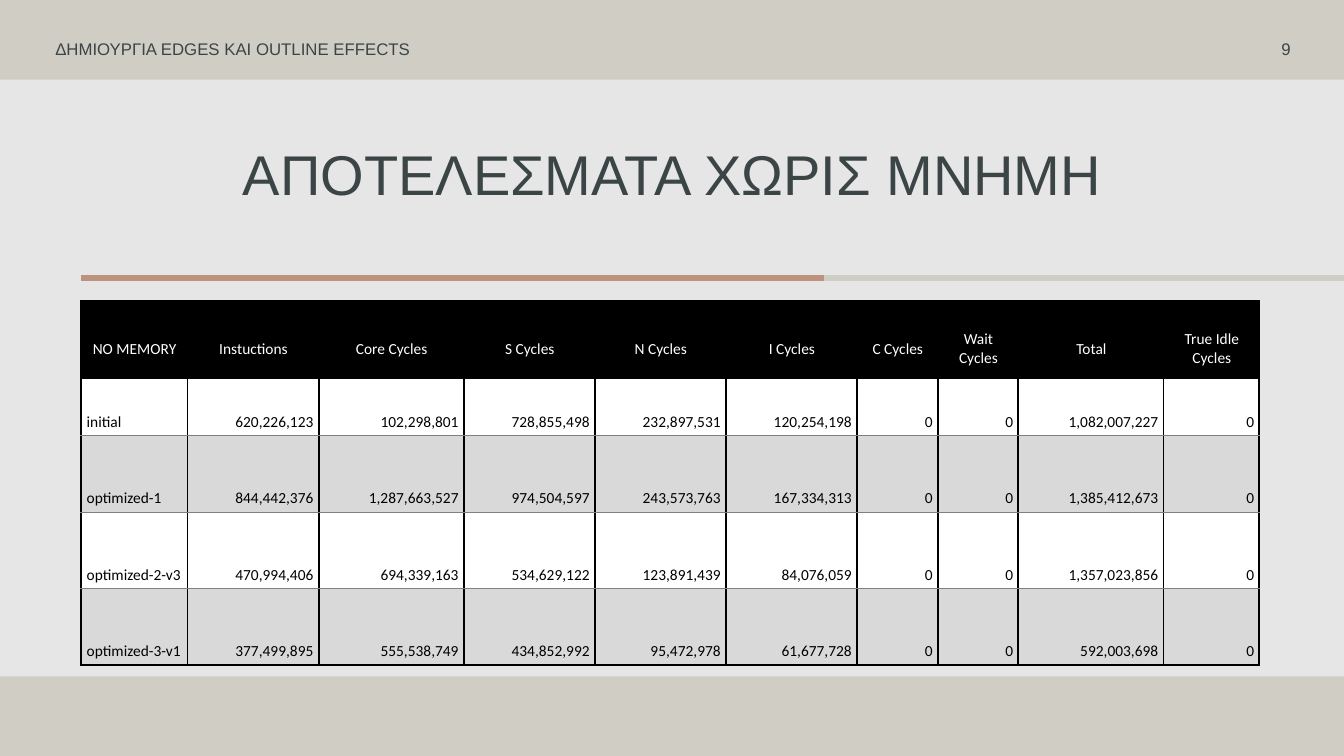
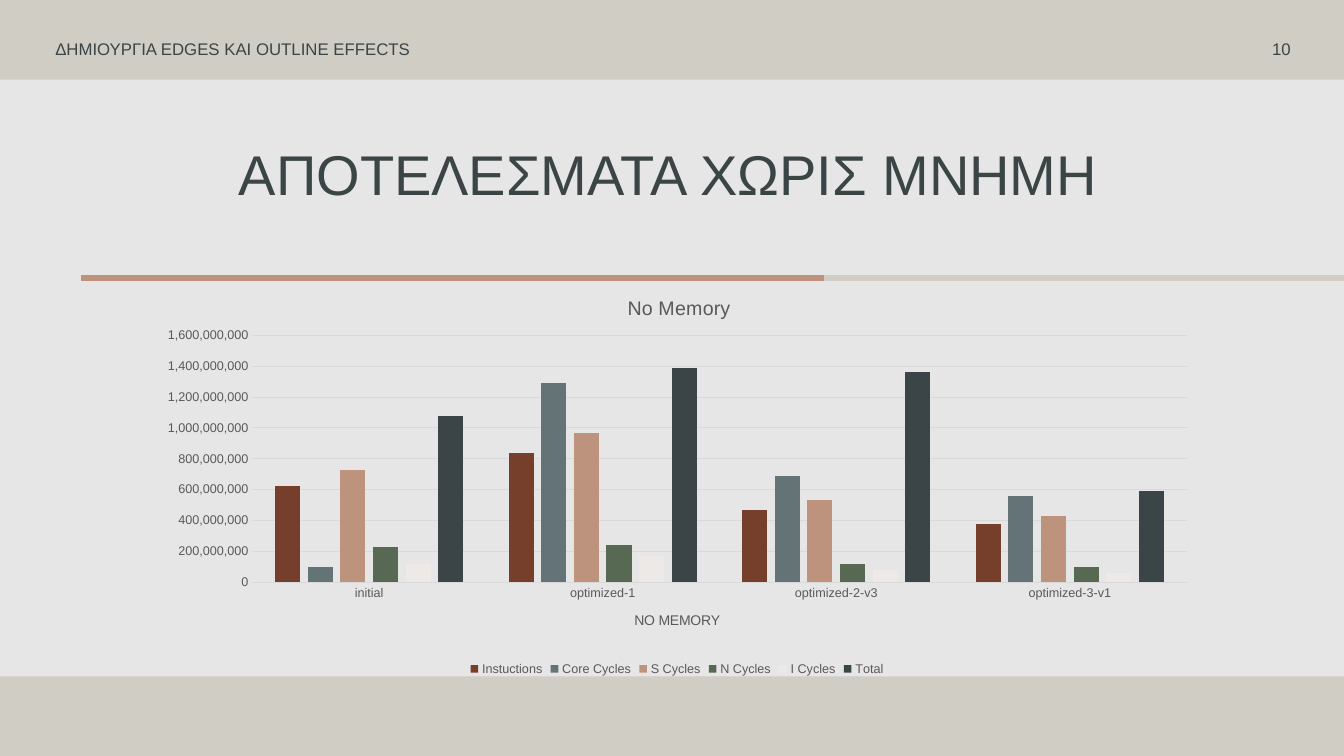
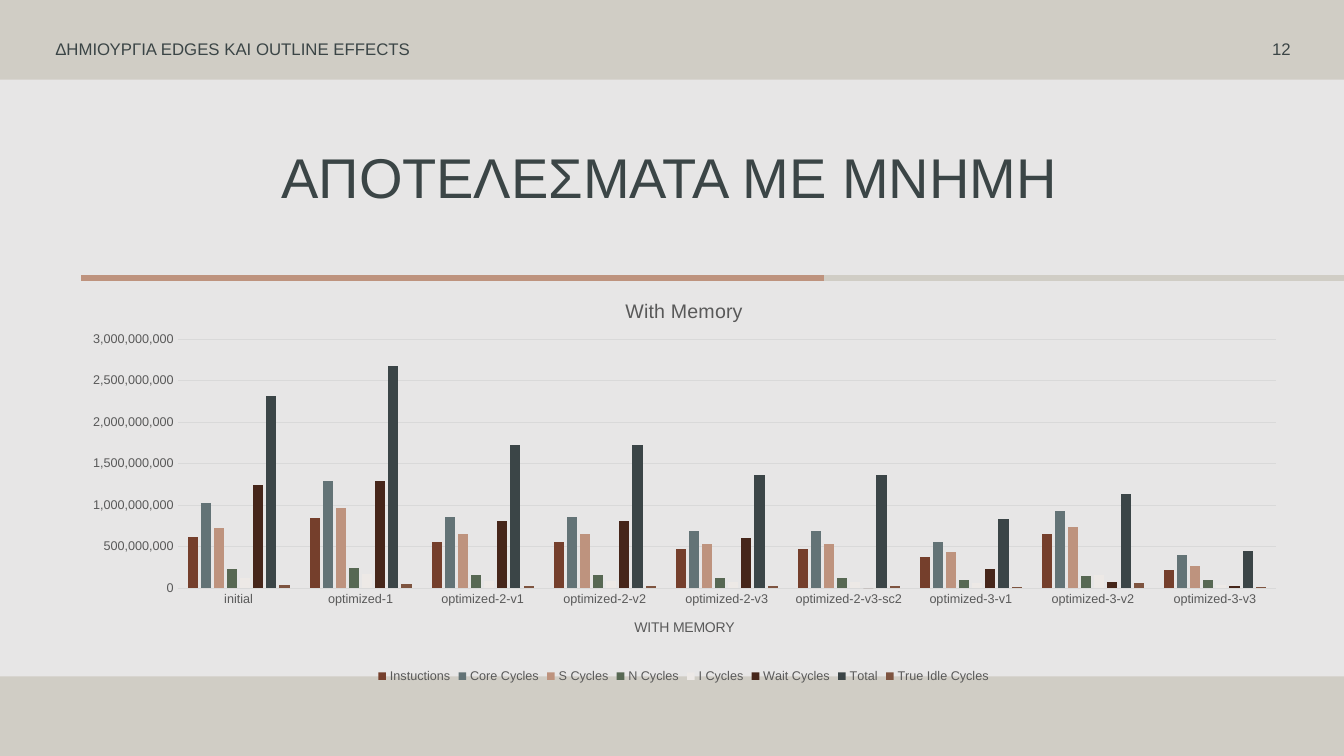
from lxml import etree
from pptx import Presentation
from pptx.chart.data import CategoryChartData
from pptx.dml.color import RGBColor
from pptx.enum import chart as kinds, shapes, text
from pptx.oxml import ns
from pptx.util import Inches, Pt

HUES = {
    "band": "D0CDC5", "panel": "E7E6E6", "tan": "BE937E", "ink": "3B4546",
    "black": "000000", "white": "FFFFFF", "stripe": "D9D9D9", "gray": "808080",
    "label": "595959", "grid": "D9D9D9",
}
BARS = {
    "Instuctions": "753F2C", "Core Cycles": "637376", "S Cycles": "BE937E",
    "N Cycles": "576853", "I Cycles": "EDE9E6", "Wait Cycles": "46261A",
    "Total": "3B4547", "True Idle Cycles": "7E5440",
}
WIDE, HIGH = 13.33, 7.5
HEADER = "ΔΗΜΙΟΥΡΓΙΑ EDGES ΚΑΙ OUTLINE EFFECTS"
PLAIN = "ΑΠΟΤΕΛΕΣΜΑΤΑ ΧΩΡΙΣ ΜΝΗΜΗ"
UNIT = 10 ** 7


def rgb(code):
    return RGBColor.from_string(code)


def place(node, spot, **sizes):
    for old in node.findall(ns.qn("c:layout")):
        node.remove(old)
    outer = etree.Element(ns.qn("c:layout"))
    inner = etree.SubElement(outer, ns.qn("c:manualLayout"))
    if "w" in sizes:
        etree.SubElement(inner, ns.qn("c:layoutTarget"), val="inner")
    for side in ("x", "y"):
        etree.SubElement(inner, ns.qn(f"c:{side}Mode"), val="edge")
    for side, size in sizes.items():
        etree.SubElement(inner, ns.qn(f"c:{side}"), val=f"{size:.3f}")
    node.insert(spot, outer)


class Deck:
    def __init__(self):
        self.show = Presentation()
        self.show.slide_width = Inches(WIDE)
        self.show.slide_height = Inches(HIGH)
        self.layout = self.show.slide_layouts[5]
        self.paint(self.layout.background, "band")
        self.slide = None

    def paint(self, item, hue):
        item.fill.solid()
        item.fill.fore_color.rgb = rgb(HUES[hue])

    def style(self, font, size, hue, face="Arial"):
        font.size, font.name, font.bold = Pt(size), face, False
        font.color.rgb = rgb(HUES[hue])

    def start(self, title, page, left, top, width, space=0.9):
        self.slide = self.show.slides.add_slide(self.layout)
        panel = self.slide.shapes.add_shape(
            shapes.MSO_SHAPE.RECTANGLE, 0, Inches(0.79), Inches(WIDE), Inches(5.92))
        panel.shadow.inherit = False
        panel.line.fill.background()
        self.paint(panel, "panel")
        self.rule(WIDE, 8.15, "band")
        self.rule(8.17, 0.8, "tan")
        self.label(HEADER, 0.45, 4.5, text.PP_ALIGN.LEFT)
        self.label(str(page), 11.07, 1.83, text.PP_ALIGN.RIGHT)
        self.title(title, left, top, width, space)

    def rule(self, start, end, hue):
        line = self.slide.shapes.add_connector(
            shapes.MSO_CONNECTOR.STRAIGHT,
            Inches(start), Inches(2.76), Inches(end), Inches(2.76))
        line.line.color.rgb = rgb(HUES[hue])
        line.line.width = Pt(4.5)
        etree.SubElement(line._element.spPr, ns.qn("a:effectLst"))

    def label(self, words, left, width, align):
        box = self.slide.shapes.add_textbox(
            Inches(left), Inches(0.33), Inches(width), Inches(0.3))
        frame = box.text_frame
        frame.word_wrap = True
        frame.vertical_anchor = text.MSO_ANCHOR.MIDDLE
        para = frame.paragraphs[0]
        para.text, para.alignment = words, align
        self.style(para.font, 12, "ink")

    def title(self, words, left, top, width, space):
        head = self.slide.shapes.title
        head.left, head.top = Inches(left), Inches(top)
        head.width, head.height = Inches(width), Inches(0.63)
        self.slide.shapes._spTree.append(head._element)
        frame = head.text_frame
        frame.auto_size = text.MSO_AUTO_SIZE.NONE
        frame.word_wrap = True
        frame.vertical_anchor = text.MSO_ANCHOR.TOP
        frame.margin_left = frame.margin_top = Inches(0.1)
        frame.margin_right = frame.margin_bottom = 0
        para = frame.paragraphs[0]
        para.text, para.line_spacing = words, space
        para.alignment = text.PP_ALIGN.LEFT
        self.style(para.font, 40, "ink")

    def edge(self, cell, side, hue, width):
        line = etree.SubElement(
            cell._tc.get_or_add_tcPr(), ns.qn(f"a:ln{side}"), w=str(Pt(width)))
        fill = etree.SubElement(line, ns.qn("a:solidFill"))
        etree.SubElement(fill, ns.qn("a:srgbClr"), val=HUES[hue])

    def cell(self, cell, words, row, col, last):
        head = row == 0
        for side in "LRTB":
            thin = side in "TB" and not head and not (side == "B" and row == last)
            thin = thin and not (side == "T" and row == 1)
            self.edge(cell, side, *(("gray", 0.5) if thin else ("black", 1.5)))
        self.paint(cell, "black" if head else "white" if row % 2 else "stripe")
        cell.margin_left, cell.margin_right = Inches(0.06), Inches(0.05)
        cell.margin_top = Inches(0.22 if head else 0.04)
        cell.margin_bottom = Inches(0.04)
        cell.vertical_anchor = text.MSO_ANCHOR.MIDDLE if head else text.MSO_ANCHOR.BOTTOM
        para = cell.text_frame.paragraphs[0]
        para.text = words
        align = text.PP_ALIGN
        para.alignment = align.CENTER if head else align.RIGHT if col else align.LEFT
        self.style(para.font, 11, "white" if head else "black", "Calibri")

    def table(self, rows, widths, heights):
        grid = self.slide.shapes.add_table(
            len(rows), len(widths), Inches(0.8), Inches(2.99),
            Inches(sum(widths)), Inches(sum(heights))).table
        grid.horz_banding = False
        for col, width in zip(grid.columns, widths):
            col.width = Inches(width)
        for line, height in zip(grid.rows, heights):
            line.height = Inches(height)
        for row, words in enumerate(rows):
            for col, word in enumerate(words):
                self.cell(grid.cell(row, col), word, row, col, len(rows) - 1)

    def caption(self, title, words, size):
        para = title.text_frame.paragraphs[0]
        para.text = words
        self.style(para.font, size, "label")

    def chart(self, box, title, cats, bars, gap, top, step, inset):
        data = CategoryChartData(number_format="#,##0")
        data.categories = cats
        for name, vals in bars.items():
            data.add_series(name, [val * UNIT for val in vals])
        chart = self.slide.shapes.add_chart(
            kinds.XL_CHART_TYPE.COLUMN_CLUSTERED, *map(Inches, box), data).chart
        self.style(chart.font, 10, "black")
        chart.has_title = True
        self.caption(chart.chart_title, title, 14)
        place(chart.chart_title._element, 1, x=0.45, y=0.045)
        place(chart._chartSpace.chart.plotArea, 0,
              x=inset, y=0.153, w=0.98 - inset, h=0.606)
        chart.has_legend = True
        chart.legend.position = kinds.XL_LEGEND_POSITION.BOTTOM
        chart.legend.include_in_layout = False
        self.style(chart.legend.font, 9, "label")
        plot = chart.plots[0]
        plot.gap_width, plot.overlap, plot.vary_by_categories = gap, -30, False
        for bar in plot.series:
            bar.format.fill.solid()
            bar.format.fill.fore_color.rgb = rgb(BARS[bar.name])
        self.axes(chart.category_axis, chart.value_axis, title.upper(), top, step)

    def axes(self, cat, val, name, top, step):
        for axis in (cat, val):
            axis.major_tick_mark = kinds.XL_TICK_MARK.NONE
            self.style(axis.tick_labels.font, 9, "label")
        self.caption(cat.axis_title, name, 10)
        val.has_major_gridlines = True
        for line in (cat.format.line, val.major_gridlines.format.line):
            line.color.rgb = rgb(HUES["grid"])
            line.width = Pt(0.75)
        val.format.line.fill.background()
        val.minimum_scale, val.maximum_scale = 0, top * UNIT
        val.major_unit = step * UNIT
        val.tick_labels.number_format = "#,##0"
        val.tick_labels.number_format_is_linked = False


def main():
    deck = Deck()
    deck.start(PLAIN, 9, 2.31, 1.36, 8.73)
    heads = ["NO MEMORY", "Instuctions", "Core Cycles", "S Cycles", "N Cycles",
             "I Cycles", "C Cycles", "Wait Cycles", "Total", "True Idle Cycles"]
    counts = [
        "initial 620,226,123 102,298,801 728,855,498 232,897,531 120,254,198 0 0 1,082,007,227 0",
        "optimized-1 844,442,376 1,287,663,527 974,504,597 243,573,763 167,334,313 0 0 1,385,412,673 0",
        "optimized-2-v3 470,994,406 694,339,163 534,629,122 123,891,439 84,076,059 0 0 1,357,023,856 0",
        "optimized-3-v1 377,499,895 555,538,749 434,852,992 95,472,978 61,677,728 0 0 592,003,698 0",
    ]
    deck.table([heads] + [line.split() for line in counts],
               [1.06, 1.3, 1.44, 1.3, 1.3, 1.3, 0.8, 0.8, 1.44, 0.95],
               [0.76, 0.57, 0.76, 0.76, 0.76])

    deck.start(PLAIN, 10, 2.27, 1.36, 8.78)
    deck.chart(
        (1.45, 2.71, 10.53, 4.04), "No Memory",
        ["initial", "optimized-1", "optimized-2-v3", "optimized-3-v1"],
        {
            "Instuctions": [62, 84, 47, 38],
            "Core Cycles": [10, 129, 69, 56],
            "S Cycles": [73, 97, 53, 43],
            "N Cycles": [23, 24, 12, 10],
            "I Cycles": [12, 17, 8, 6],
            "Total": [108, 139, 136, 59],
        }, gap=180, top=160, step=20, inset=0.1)

    deck.start("ΑΠΟΤΕΛΕΣΜΑΤΑ ΜΕ ΜΝΗΜΗ", 12, 2.69, 1.44, 7.94, 0.8)
    deck.chart(
        (0.66, 2.74, 12.24, 4.08), "With Memory",
        ["initial", "optimized-1", "optimized-2-v1", "optimized-2-v2", "optimized-2-v3",
         "optimized-2-v3-sc2", "optimized-3-v1", "optimized-3-v2", "optimized-3-v3"],
        {
            "Instuctions": [62, 84, 56, 56, 47, 47, 38, 65, 22],
            "Core Cycles": [102, 129, 86, 86, 69, 69, 56, 93, 40],
            "S Cycles": [73, 97, 65, 65, 53, 53, 44, 74, 27],
            "N Cycles": [23, 24, 16, 16, 12, 12, 10, 15, 10],
            "I Cycles": [12, 17, 9, 9, 8, 8, 6, 16, 4],
            "Wait Cycles": [124, 129, 81, 81, 61, 0, 23, 8, 3],
            "Total": [232, 268, 172, 172, 136, 136, 83, 113, 45],
            "True Idle Cycles": [4, 5, 3, 3, 3, 3, 2, 6, 1],
        }, gap=200, top=300, step=50, inset=0.09)
    deck.show.save("out.pptx")


if __name__ == "__main__":
    main()
